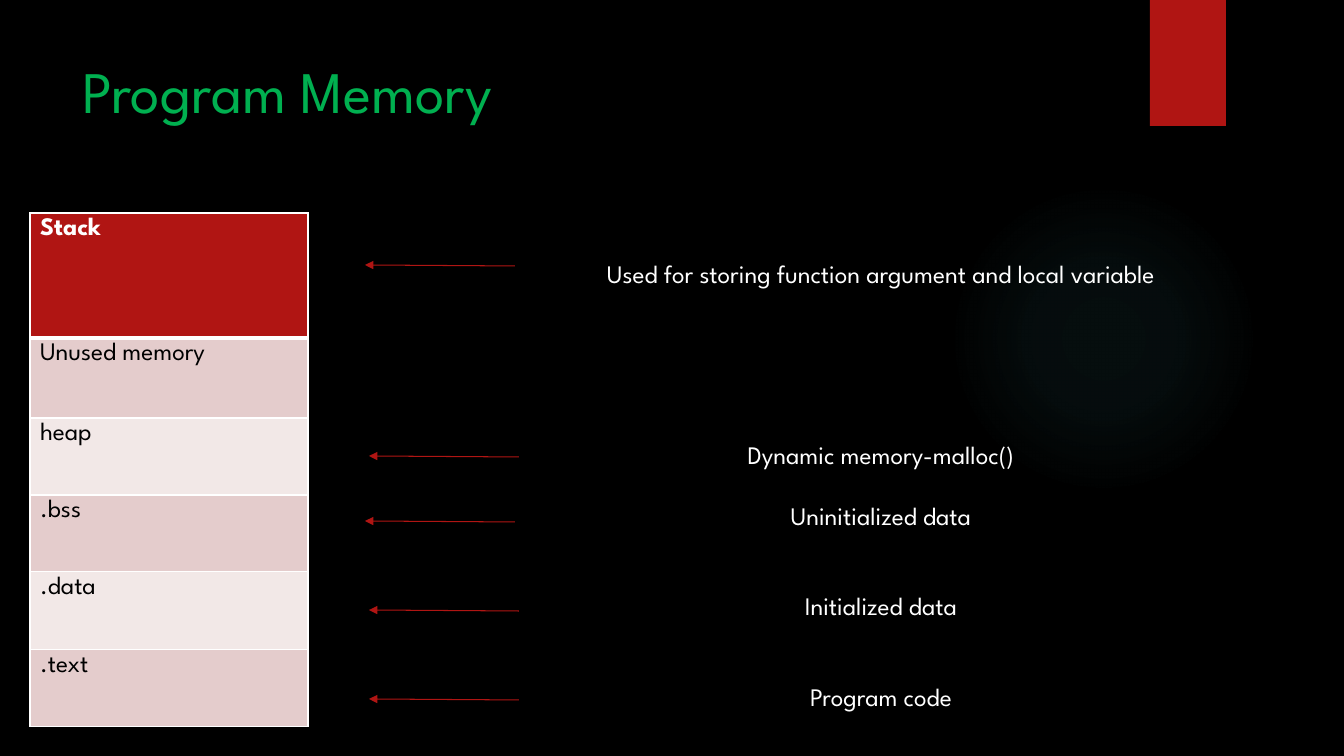
from dataclasses import dataclass

from pptx import Presentation, oxml
from pptx import util as u
from pptx.dml.color import RGBColor
from pptx.enum import shapes, text
from pptx.oxml import ns

PX = 914400 / 100.8


@dataclass(frozen=True)
class Theme:
    font: str = "League Spartan"
    title_size: int = 42
    text_size: int = 18
    line_pitch: float = 21.6
    back: str = "000000"
    title: str = "00B050"
    light: str = "FFFFFF"
    dark: str = "000000"
    accent: str = "B01513"
    bands: tuple = ("E4CCCC", "F2E8E7")
    glow: str = "50B9C1"


def px(value):
    return u.Emu(round(value * PX))


def element(tag, attributes="", inner=""):
    return oxml.parse_xml(f"<a:{tag} {ns.nsdecls('a')} {attributes}>{inner}</a:{tag}>")


def write(para, words, font, size, color, bold=False, align=text.PP_ALIGN.LEFT, before=0):
    span = para.add_run()
    span.text = words
    span.font.name = font
    span.font.size = u.Pt(size)
    span.font.bold = bold
    span.font.color.rgb = RGBColor.from_string(color)
    para.alignment = align
    para.line_spacing = 1.0
    para.space_before = u.Pt(before)
    para.space_after = u.Pt(0)


class MemoryPage:
    def __init__(self, deck, theme):
        self.theme = theme
        self.page = deck.slides.add_slide(deck.slide_layouts[1])
        fill = self.page.background.fill
        fill.solid()
        fill.fore_color.rgb = RGBColor.from_string(theme.back)

    def place(self, box, left, top, width, height):
        box.left, box.top, box.width, box.height = map(px, (left, top, width, height))
        frame = box.text_frame
        frame.word_wrap = True
        frame.auto_size = text.MSO_AUTO_SIZE.NONE
        frame.vertical_anchor = text.MSO_ANCHOR.TOP
        return frame

    def title(self, words, *area):
        frame = self.place(self.page.shapes.title, *area)
        write(frame.paragraphs[0], words, self.theme.font, self.theme.title_size, self.theme.title)

    def captions(self, items, *area):
        frame = self.place(self.page.placeholders[1], *area)
        for index, (skipped_lines, words) in enumerate(items):
            para = frame.add_paragraph() if index else frame.paragraphs[0]
            write(para, words, self.theme.font, self.theme.text_size, self.theme.light,
                  align=text.PP_ALIGN.CENTER, before=skipped_lines * self.theme.line_pitch)
            props = para._p.get_or_add_pPr()
            props.set("marL", "0")
            props.set("indent", "0")
            props.append(element("buNone"))

    def shape(self, kind, *area):
        box = self.page.shapes.add_shape(kind, *map(px, area))
        box.shadow.inherit = False
        box.line.fill.background()
        self.page.shapes._spTree.insert(2, box._element)
        return box

    def ribbon(self, *area):
        fill = self.shape(shapes.MSO_SHAPE.RECTANGLE, *area).fill
        fill.solid()
        fill.fore_color.rgb = RGBColor.from_string(self.theme.accent)

    def glow(self, *area):
        box = self.shape(shapes.MSO_SHAPE.OVAL, *area)
        stops = "".join(
            f'<a:gs pos="{place * 1000}"><a:srgbClr val="{self.theme.glow}">'
            f'<a:alpha val="{alpha * 1000}"/></a:srgbClr></a:gs>'
            for place, alpha in ((0, 7), (36, 6), (69, 0)))
        box._element.spPr.find(ns.qn("a:prstGeom")).addnext(element(
            "gradFill", 'rotWithShape="1"',
            f'<a:gsLst>{stops}</a:gsLst><a:path path="circle">'
            '<a:fillToRect l="50000" t="50000" r="50000" b="50000"/></a:path>'))

    def arrow(self, left, top, length=150):
        line = self.page.shapes.add_connector(
            shapes.MSO_CONNECTOR.STRAIGHT, *map(px, (left + length, top + 1, left, top)))
        line.line.color.rgb = RGBColor.from_string(self.theme.accent)
        line.line.width = u.Pt(0.75)
        line.line._get_or_add_ln().append(element("tailEnd", 'type="triangle"'))
        line._element.spPr.append(element("effectLst"))

    def cell(self, cell, words, fill, color, bold, top, bottom):
        cell.fill.solid()
        cell.fill.fore_color.rgb = RGBColor.from_string(fill)
        write(cell.text_frame.paragraphs[0], words, self.theme.font, self.theme.text_size,
              color, bold=bold)
        props = cell._tc.get_or_add_tcPr()
        for index, (side, points) in enumerate(zip("LRTB", (1, 1, top, bottom))):
            props.insert(index, element(
                f"ln{side}", f'w="{points * 12700}"',
                f'<a:solidFill><a:srgbClr val="{self.theme.light}"/></a:solidFill>'))

    def memory_table(self, segments, left, top, width):
        height = sum(size for _, size in segments)
        table = self.page.shapes.add_table(
            len(segments), 1, *map(px, (left, top, width, height))).table
        for index, (words, size) in enumerate(segments):
            table.rows[index].height = px(size)
            head = index == 0
            fill = self.theme.accent if head else self.theme.bands[(index - 1) % 2]
            self.cell(table.cell(index, 0), words, fill,
                      color=self.theme.light if head else self.theme.dark, bold=head,
                      top=3 if index == 1 else 1, bottom=3 if head else 1)


def main():
    deck = Presentation()
    deck.slide_width, deck.slide_height = px(1344), px(756)
    page = MemoryPage(deck, Theme())
    page.ribbon(1150, 0, 76, 126)
    page.glow(949, 184, 310, 310)
    page.title("Program Memory", 72, 50, 1037, 154)
    page.memory_table([("Stack", 125), ("Unused memory", 80), ("heap", 77), (".bss", 77),
                       (".data", 78), (".text", 77)], 30, 213, 278)
    page.captions([(0, "Used for storing function argument and local variable"),
                   (5, "Dynamic memory-malloc()"), (1, "Uninitialized data"),
                   (2, "Initialized data"), (2, "Program code")], 461, 253, 840, 468)
    for left, top in ((365, 265), (369, 456), (365, 521), (369, 610), (369, 699)):
        page.arrow(left, top)
    deck.save("out.pptx")


if __name__ == "__main__":
    main()
